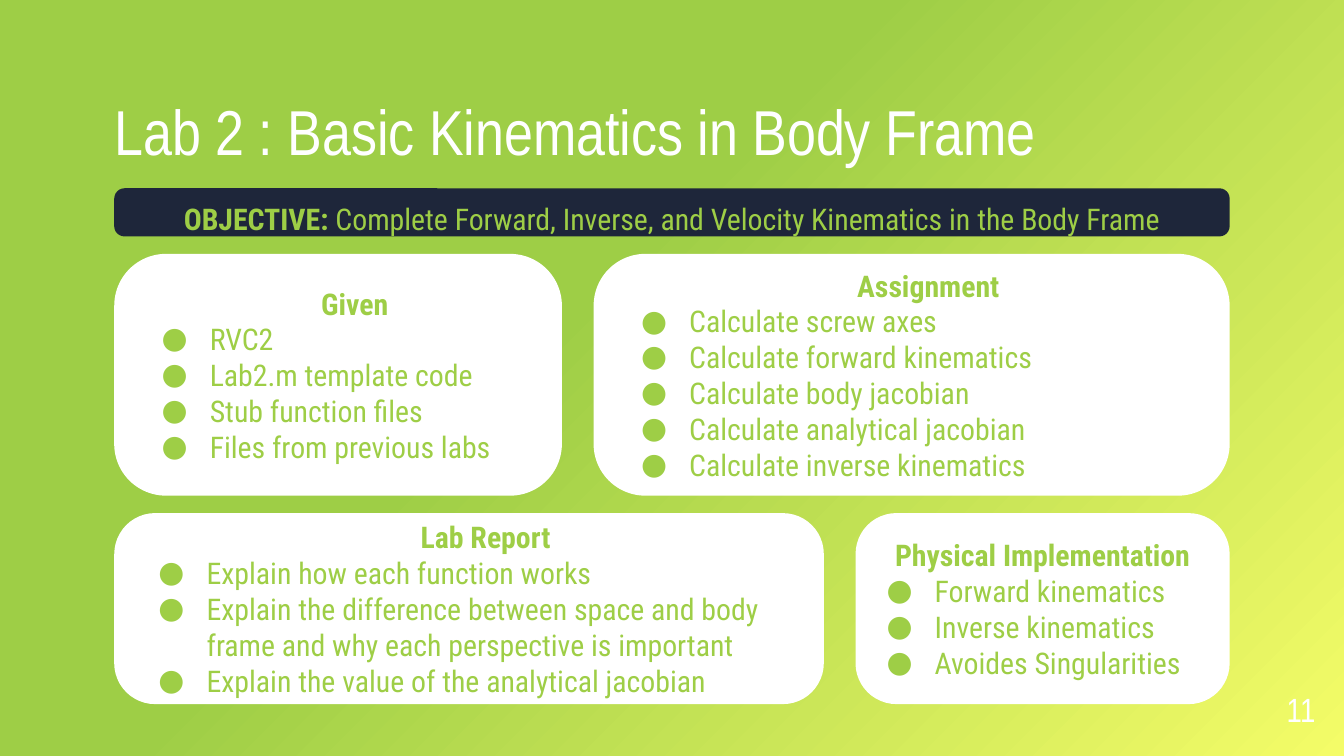
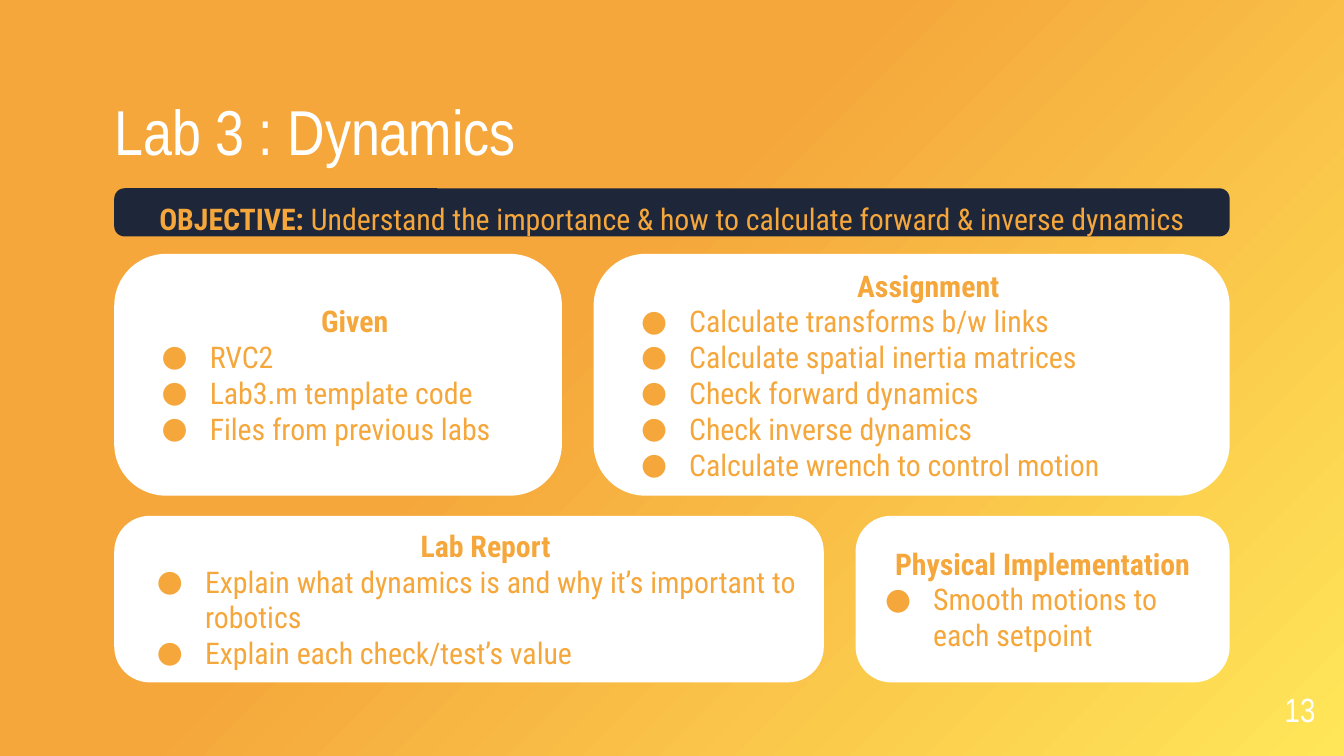
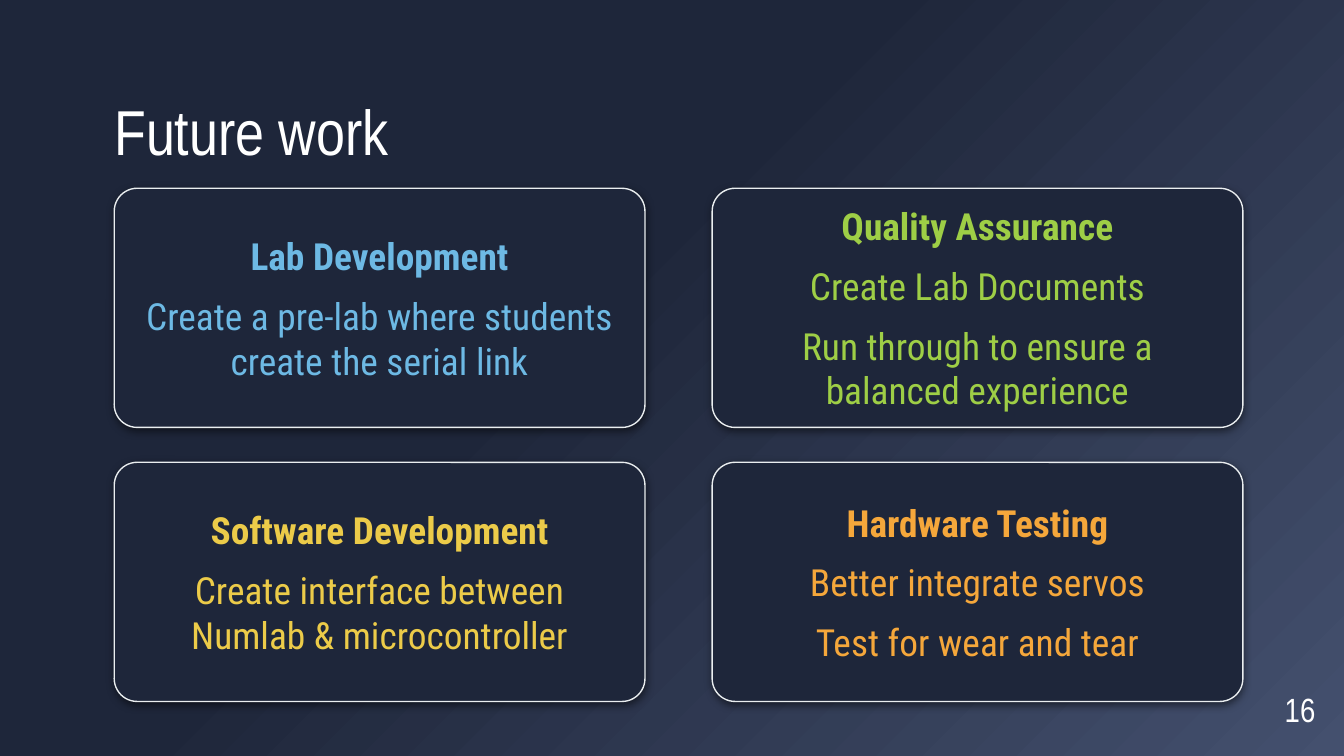
from dataclasses import dataclass

from pptx import Presentation
from pptx.dml.color import RGBColor
from pptx.enum.shapes import MSO_SHAPE
from pptx.enum.text import MSO_ANCHOR, MSO_AUTO_SIZE, PP_ALIGN
from pptx.oxml import parse_xml
from pptx.oxml.ns import nsdecls, qn
from pptx.util import Cm, Pt


@dataclass(frozen=True)
class Theme:
    """Colours, fonts and type sizes shared by all slides."""

    white: str = "FFFFFF"
    navy: str = "1E263A"
    slate: str = "44506E"
    edge: str = "EAEEF0"
    green: str = "9ECE46"
    lime: str = "F4FC68"
    orange: str = "F5A73B"
    lemon: str = "FFE659"
    gold: str = "ECCB49"
    blue: str = "6DB9E4"
    head: str = "Arial Narrow"
    body: str = "Roboto Condensed"
    title: int = 34
    large: int = 20
    page: int = 18
    text: int = 16


@dataclass(frozen=True)
class Box:
    """A rectangle in centimetres."""

    x: float
    y: float
    w: float
    h: float

    def place(self):
        """Return left, top, width and height as lengths."""
        return [Cm(n) for n in (self.x, self.y, self.w, self.h)]

    def split(self, first, gap):
        """Cut the box into a left part of a given width and the rest."""
        rest = first + gap
        return (Box(self.x, self.y, first, self.h),
                Box(self.x + rest, self.y, self.w - rest, self.h))


THEME = Theme()
TITLE = Box(2.16, 2.11, 21.08, 1.09)
BAND = Box(2.16, 3.56, 21.08, 0.91)
UPPER = Box(2.16, 4.8, 21.08, 4.57)
GRID = Box(2.16, 3.56, 21.33, 9.7)
PAGE = Box(23.34, 12.9, 1.52, 0.89)
GAP = 0.6


def put(item, **values):
    """Set each named value on an object."""
    for name, value in values.items():
        setattr(item, name, value)


def setup(frame, anchor, side=0.0, top=0.0):
    """Prepare a text frame with its anchor and insets."""
    put(frame, word_wrap=True, auto_size=MSO_AUTO_SIZE.NONE,
        vertical_anchor=anchor, margin_left=Cm(side), margin_right=Cm(side),
        margin_top=Cm(top), margin_bottom=0)


def write(para, text, size, color, font=THEME.body, bold=False, **form):
    """Add a formatted run and set the paragraph format."""
    run = para.add_run()
    run.text = text
    put(run.font, size=Pt(size), name=font, bold=bold)
    run.font.color.rgb = RGBColor.from_string(color)
    put(para, **form)


def lines(frame):
    """Yield the first paragraph of a frame, then new ones."""
    yield frame.paragraphs[0]
    while True:
        yield frame.add_paragraph()


def indent(para, first):
    """Set the left margin and first line offset of a paragraph."""
    props = para._p.get_or_add_pPr()
    props.set("marL", str(Cm(1.27)))
    props.set("indent", str(Cm(first)))
    return props


def bullet(para, color):
    """Give a paragraph a coloured round bullet."""
    props = indent(para, -0.91)
    for xml in (f'<a:buClr {nsdecls("a")}><a:srgbClr val="{color}"/></a:buClr>',
                f'<a:buFont {nsdecls("a")} typeface="{THEME.body}"/>',
                f'<a:buChar {nsdecls("a")} char="●"/>'):
        props.append(parse_xml(xml))


def shade():
    """Return an effect list with one soft shadow below."""
    return parse_xml(
        f'<a:effectLst {nsdecls("a")}><a:outerShdw blurRad="{Pt(4.5)}" '
        f'dist="{Pt(1.5)}" dir="5400000" algn="t" rotWithShape="0">'
        '<a:srgbClr val="000000"><a:alpha val="50000"/></a:srgbClr>'
        '</a:outerShdw></a:effectLst>')


def paint(slide, glow, base):
    """Fill the background with a glow from the lower right corner."""
    slide.background.fill.solid()
    solid = slide.element.find(".//" + qn("p:bgPr")).find(qn("a:solidFill"))
    stops = "".join(
        f'<a:gs pos="{pos * 1000}"><a:srgbClr val="{color}"/></a:gs>'
        for pos, color in ((0, glow), (58, base), (100, base)))
    solid.getparent().replace(solid, parse_xml(
        f'<a:gradFill {nsdecls("a")} rotWithShape="1"><a:gsLst>{stops}</a:gsLst>'
        '<a:path path="circle"><a:fillToRect l="100000" t="100000"/></a:path>'
        '<a:tileRect r="-100000" b="-100000"/></a:gradFill>'))


def panel(slide, box, fill, round_):
    """Draw a plain rounded panel."""
    shape = slide.shapes.add_shape(MSO_SHAPE.ROUNDED_RECTANGLE, *box.place())
    shape.adjustments[0] = round_
    shape.shadow.inherit = False
    shape.fill.solid()
    shape.fill.fore_color.rgb = RGBColor.from_string(fill)
    shape.line.fill.background()
    return shape


def start(deck, title, number, glow, base, cast=False):
    """Add a slide with its background, title and page number."""
    slide = deck.slides.add_slide(deck.slide_layouts[5])
    paint(slide, glow, base)
    head = slide.shapes.title
    names = ("left", "top", "width", "height")
    put(head, **dict(zip(names, TITLE.place())))
    setup(head.text_frame, MSO_ANCHOR.BOTTOM)
    write(head.text_frame.paragraphs[0], title, THEME.title, THEME.white,
          THEME.head, alignment=PP_ALIGN.LEFT, line_spacing=0.9)
    if cast:
        head.element.find(".//" + qn("a:rPr")).find(
            qn("a:solidFill")).addnext(shade())
    frame = slide.shapes.add_textbox(*PAGE.place()).text_frame
    setup(frame, MSO_ANCHOR.BOTTOM)
    write(frame.paragraphs[0], number, THEME.page, THEME.white, THEME.head,
          alignment=PP_ALIGN.RIGHT, line_spacing=0.9)
    return slide


def band(slide, box, goal, color):
    """Draw the objective band."""
    frame = panel(slide, box, THEME.navy, 0.214).text_frame
    setup(frame, MSO_ANCHOR.MIDDLE, 0.25, 0.25)
    para = frame.paragraphs[0]
    write(para, "OBJECTIVE: ", THEME.text, color, bold=True)
    write(para, goal, THEME.text, color,
          alignment=PP_ALIGN.CENTER, space_after=Pt(8))


def card(slide, box, color, head, items, before=10, inset=True):
    """Draw a white card with a heading and a bullet list."""
    frame = panel(slide, box, THEME.white, 0.214).text_frame
    setup(frame, MSO_ANCHOR.MIDDLE, 0.25 if inset else 0)
    paras = lines(frame)
    top = next(paras)
    write(top, head, THEME.text, color, bold=True,
          alignment=PP_ALIGN.CENTER, space_before=Pt(before))
    if inset:
        indent(top, -0.64)
    for item, para in zip(items, paras):
        write(para, item, THEME.text, color, alignment=PP_ALIGN.LEFT)
        bullet(para, color)


def lab(deck, title, number, glow, color, goal, lower, given, tasks, report, build):
    """Build a lab slide from its objective and four lists."""
    slide = start(deck, title, number, glow, color, cast=True)
    band(slide, BAND, goal, color)
    left, right = UPPER.split(8.46, GAP)
    card(slide, left, color, "Given", given)
    card(slide, right, color, "Assignment", tasks, before=0)
    left, right = lower.split(13.41, GAP)
    card(slide, left, color, "Lab Report", report)
    card(slide, right, color, "Physical Implementation", build, inset=False)


def tile(slide, box, color, head, items):
    """Draw an outlined dark tile with centred text."""
    shape = panel(slide, box, THEME.navy, 0.096)
    shape.line.color.rgb = RGBColor.from_string(THEME.edge)
    shape.line.width = Pt(0.75)
    props = shape.element.spPr
    props.replace(props.find(qn("a:effectLst")), shade())
    setup(shape.text_frame, MSO_ANCHOR.MIDDLE, 0.25)
    paras = lines(shape.text_frame)
    write(next(paras), head, THEME.large, color, bold=True,
          alignment=PP_ALIGN.CENTER)
    for item, para in zip(items, paras):
        last = item == items[-1]
        write(para, item, THEME.large, color, alignment=PP_ALIGN.CENTER,
              space_before=Pt(8), space_after=Pt(8 if last else 0))


def future(deck, title, number, box, topics):
    """Build the slide with a two by two grid of topics."""
    slide = start(deck, title, number, THEME.slate, THEME.navy)
    wide, high = 10.03, 4.52
    for i, topic in enumerate(topics):
        row, col = divmod(i, 2)
        spot = Box(box.x + col * (box.w - wide),
                   box.y + row * (box.h - high), wide, high)
        tile(slide, spot, *topic)


def main():
    """Build and save the deck."""
    deck = Presentation()
    put(deck, slide_width=Cm(25.4), slide_height=Cm(14.29))
    lab(deck, "Lab 2 : Basic Kinematics in Body Frame", "11",
        THEME.lime, THEME.green,
        "Complete Forward, Inverse, and Velocity Kinematics in the Body Frame",
        Box(2.16, 9.7, 21.08, 3.61),
        given=["RVC2", "Lab2.m template code", "Stub function files",
               "Files from previous labs"],
        tasks=["Calculate screw axes", "Calculate forward kinematics",
               "Calculate body jacobian", "Calculate analytical jacobian",
               "Calculate inverse kinematics"],
        report=["Explain how each function works",
                "Explain the difference between space and body frame "
                "and why each perspective is important",
                "Explain the value of the analytical jacobian"],
        build=["Forward kinematics", "Inverse kinematics",
               "Avoides Singularities"])
    lab(deck, "Lab 3 : Dynamics", "13", THEME.lemon, THEME.orange,
        "Understand the importance & how to calculate forward & inverse dynamics",
        Box(2.16, 9.75, 21.08, 3.15),
        given=["RVC2", "Lab3.m template code", "Files from previous labs"],
        tasks=["Calculate transforms b/w links",
               "Calculate spatial inertia matrices",
               "Check forward dynamics", "Check inverse dynamics",
               "Calculate wrench to control motion"],
        report=["Explain what dynamics is and why it’s important to robotics",
                "Explain each check/test’s value"],
        build=["Smooth motions to each setpoint"])
    future(deck, "Future work", "16", GRID, [
        (THEME.blue, "Lab Development",
         ["Create a pre-lab where students create the serial link"]),
        (THEME.green, "Quality Assurance",
         ["Create Lab Documents",
          "Run through to ensure a balanced experience"]),
        (THEME.gold, "Software Development",
         ["Create interface between Numlab & microcontroller"]),
        (THEME.orange, "Hardware Testing",
         ["Better integrate servos", "Test for wear and tear"])])
    deck.save("out.pptx")


if __name__ == "__main__":
    main()
